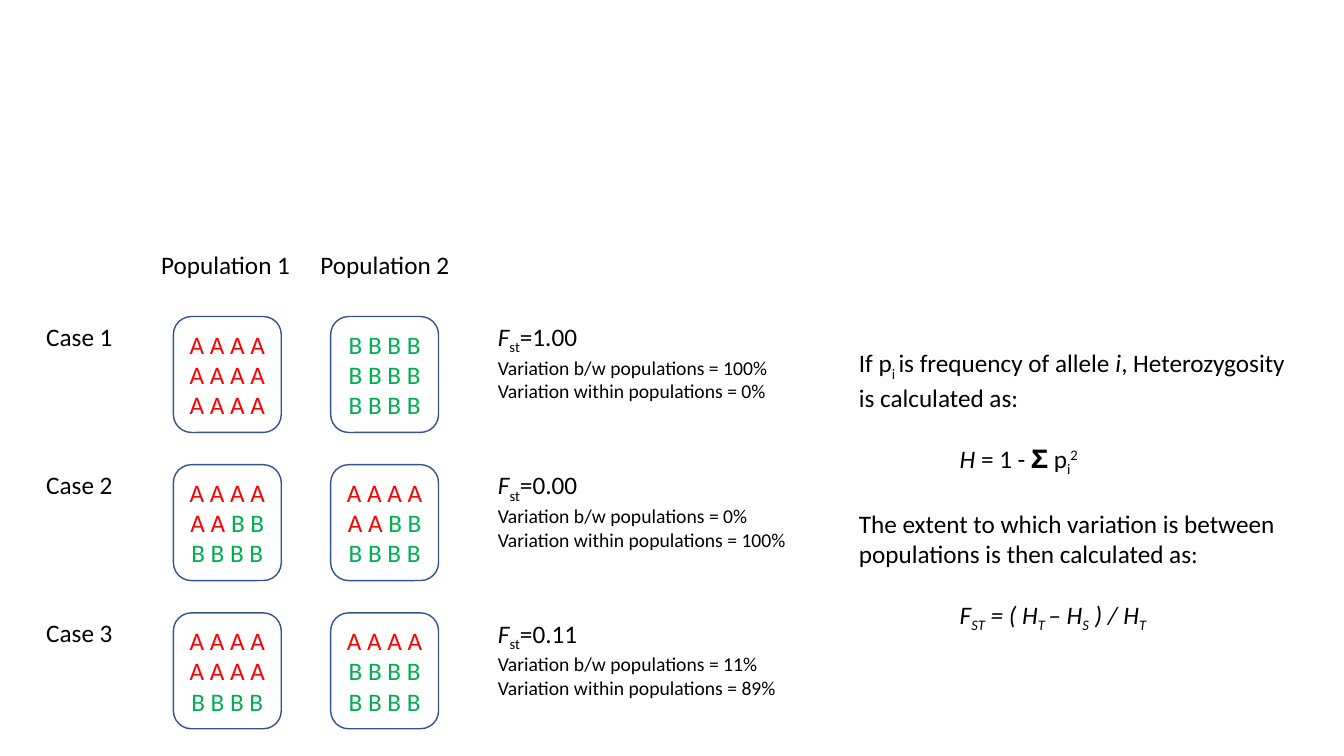
import pptx
import pptx.util
import pptx.dml.color
import pptx.enum.shapes
import pptx.enum.text

Inches = pptx.util.Inches
Pt = pptx.util.Pt
RGBColor = pptx.dml.color.RGBColor

BLACK = RGBColor(0x00, 0x00, 0x00)
RED = RGBColor(0xFF, 0x00, 0x00)
GREEN = RGBColor(0x00, 0xB0, 0x50)
BLUE = RGBColor(0x32, 0x54, 0x91)
SUB, SUPER = -25000, 30000

deck = pptx.Presentation()
deck.slide_width, deck.slide_height = Inches(13.33), Inches(7.5)
slide = deck.slides.add_slide(deck.slide_layouts[6])


def write(para, text, size=18, color=BLACK, italic=False, base=0):
    """Append one formatted run to the paragraph."""
    run = para.add_run()
    run.text = text
    run.font.name = "Calibri"
    run.font.size = Pt(size)
    run.font.color.rgb = color
    run.font.italic = italic
    if base:
        run._r.get_or_add_rPr().set("baseline", str(base))


def add_box(left, top, width, height):
    """Add an unwrapped text box and return its text frame."""
    box = slide.shapes.add_textbox(
        Inches(left), Inches(top), Inches(width), Inches(height))
    frame = box.text_frame
    frame.word_wrap = False
    frame.auto_size = pptx.enum.text.MSO_AUTO_SIZE.SHAPE_TO_FIT_TEXT
    return frame


# Population columns
lefts = [1.72, 3.28]
for num, left in enumerate([1.5, 3.08], 1):
    write(add_box(left, 2.42, 1.5, 0.4).paragraphs[0], f"Population {num}")

# Cases: allele rows of both populations, Fst, variation between and within
ALL_A, HALF, ALL_B = "A A A A", "A A B B", "B B B B"
cases = [
    ([[ALL_A] * 3, [ALL_B] * 3], "1.00", 100, 0, 2.9),
    ([[ALL_A, HALF, ALL_B]] * 2, "0.00", 0, 100, 3.09),
    ([[ALL_A, ALL_A, ALL_B], [ALL_A, ALL_B, ALL_B]], "0.11", 11, 89, 2.99),
]
for num, (pops, fst, between, within, width) in enumerate(cases):
    top = 3.14 + 1.47 * num
    write(add_box(0.36, top, 0.87, 0.4).paragraphs[0], f"Case {num + 1}")

    for left, rows in zip(lefts, pops):
        card = slide.shapes.add_shape(
            pptx.enum.shapes.MSO_SHAPE.ROUNDED_RECTANGLE,
            Inches(left), Inches(top), Inches(1.07), Inches(1.15))
        card.shadow.inherit = False
        card.fill.background()
        card.line.color.rgb = BLUE
        card.line.width = Pt(1)
        frame = card.text_frame
        frame.vertical_anchor = pptx.enum.text.MSO_ANCHOR.MIDDLE
        for idx, row in enumerate(rows):
            para = frame.add_paragraph() if idx else frame.paragraphs[0]
            para.alignment = pptx.enum.text.PP_ALIGN.CENTER
            split = 2 * row.count("A")
            for text, color in [(row[:split], RED), (row[split:], GREEN)]:
                if text:
                    write(para, text, color=color)

    frame = add_box(4.84, top, width, 0.88)
    para = frame.paragraphs[0]
    write(para, "F", italic=True)
    write(para, "st", base=SUB)
    write(para, f"={fst}")
    write(frame.add_paragraph(), f"Variation b/w populations = {between}%", size=14)
    write(frame.add_paragraph(), f"Variation within populations = {within}%", size=14)

# Formulas: space before, indent, runs of (text, italic, baseline)
lines = [
    (0, 0, [("If p", False, 0), ("i ", False, SUB),
            ("is frequency of allele ", False, 0), ("i", True, 0),
            (", Heterozygosity", False, 0)]),
    (0, 0, [("is calculated as:", False, 0)]),
    (22, 1, [("H ", True, 0), ("= 1 - 𝚺 p", False, 0),
             ("i", False, SUB), ("2", False, SUPER)]),
    (22, 0, [("The extent to which variation is between", False, 0)]),
    (0, 0, [("populations is then calculated as:", False, 0)]),
    (22, 1, [("F", True, 0), ("ST", True, SUB), (" = ( H", True, 0),
             ("T ", True, SUB), ("– H", True, 0), ("S", True, SUB),
             (" ) / H", True, 0), ("T", True, SUB)]),
]
frame = add_box(8.42, 3.4, 4.54, 2.83)
for idx, (gap, indent, runs) in enumerate(lines):
    para = frame.add_paragraph() if idx else frame.paragraphs[0]
    para.space_before = Pt(gap)
    if indent:
        para._p.get_or_add_pPr().set("marL", str(Inches(indent)))
    for text, italic, base in runs:
        write(para, text, italic=italic, base=base)

deck.save("out.pptx")
